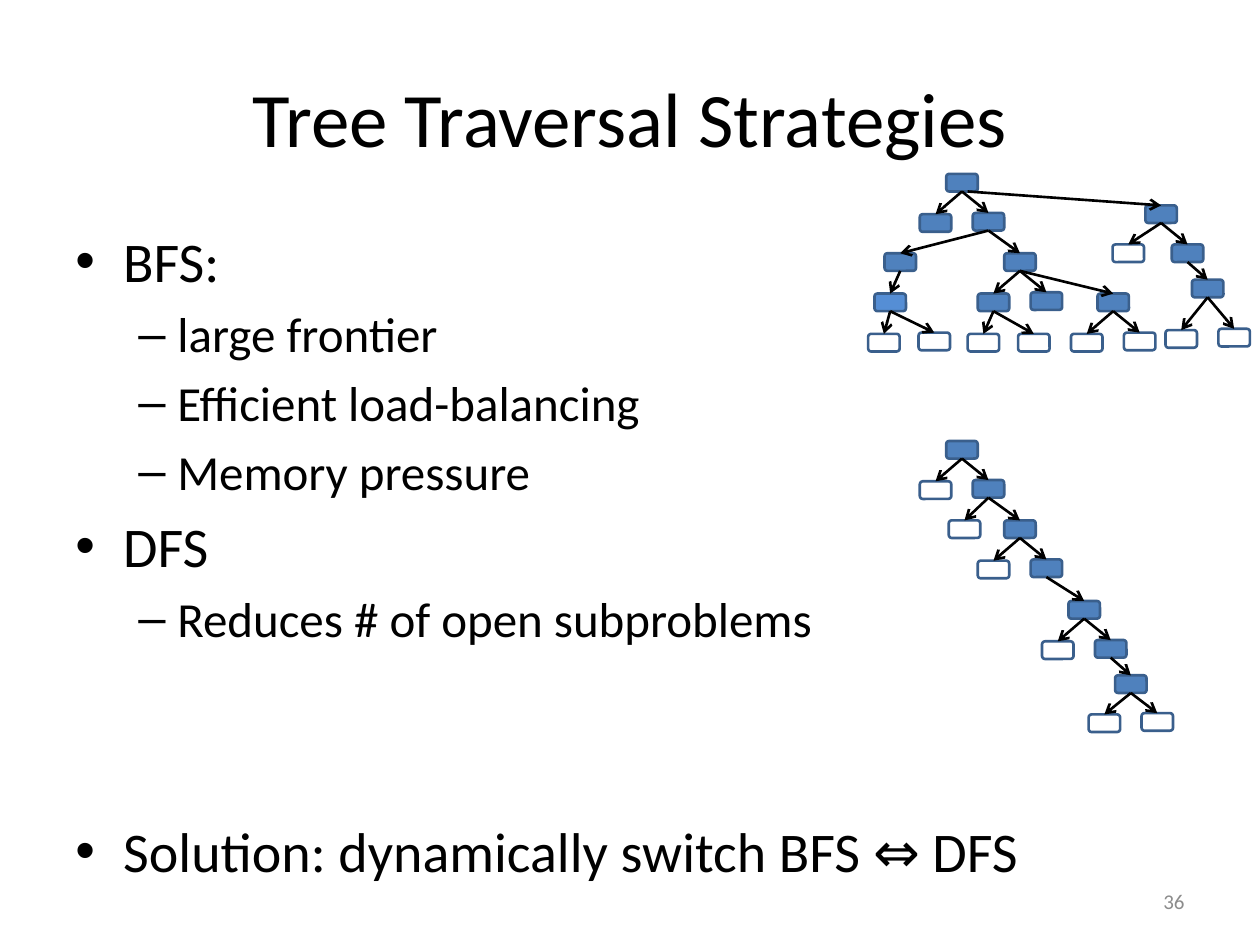
import pptx
import pptx.util
import pptx.dml.color
import pptx.enum.shapes
import pptx.enum.text
import pptx.oxml
import pptx.oxml.ns
import lxml.etree

RGB = pptx.dml.color.RGBColor
ALIGN = pptx.enum.text.PP_ALIGN
MIDDLE = pptx.enum.text.MSO_ANCHOR.MIDDLE
Pt = pptx.util.Pt
qn = pptx.oxml.ns.qn

BLACK = RGB(0x00, 0x00, 0x00)
GRAY = RGB(0x8C, 0x8C, 0x8C)
BLUE = RGB(0x4F, 0x81, 0xBD)
LIGHT = RGB(0x55, 0x8E, 0xD5)
EDGE = RGB(0x3A, 0x5F, 0x8C)
OPEN = None

FONT = "Calibri"
SCALE = 9144
NODE_W, NODE_H = 25, 14
LEVELS = [("•", 32, 38, -38), ("–", 28, 81, -31)]

POINTS = [
    (0, "BFS:", 0),
    (1, "large frontier", 5.6),
    (1, "Efficient load-balancing", 5.6),
    (1, "Memory pressure", 5.6),
    (0, "DFS", 6.4),
    (1, "Reduces # of open subproblems", 5.6),
    (0, "Solution: dynamically switch BFS ⇔ DFS", 97),
]

BREADTH = {
    "root": (751, 138, BLUE, None),
    "a": (730, 170, BLUE, "root"),
    "b": (772, 169, BLUE, "root"),
    "c": (909, 163, BLUE, None),
    "ba": (702, 201, BLUE, "b"),
    "bb": (797, 201, BLUE, "b"),
    "ca": (883, 194, OPEN, "c"),
    "cb": (930, 194, BLUE, "c"),
    "baa": (694, 233, LIGHT, "ba"),
    "bba": (776, 233, BLUE, "bb"),
    "bbb": (818, 232, BLUE, "bb"),
    "bbc": (871, 233, BLUE, "bb"),
    "cba": (946, 222, BLUE, "cb"),
    "leaf1": (689, 265, OPEN, "baa"),
    "leaf2": (729, 264, OPEN, "baa"),
    "leaf3": (768, 265, OPEN, "bba"),
    "leaf4": (808, 265, OPEN, "bba"),
    "leaf5": (850, 265, OPEN, "bbc"),
    "leaf6": (892, 264, OPEN, "bbc"),
    "leaf7": (925, 262, OPEN, "cba"),
    "leaf8": (967, 261, OPEN, "cba"),
}

DEPTH = {
    "root": (751, 350, BLUE, None),
    "a": (730, 382, OPEN, "root"),
    "b": (772, 381, BLUE, "root"),
    "ba": (753, 413, OPEN, "b"),
    "bb": (797, 413, BLUE, "b"),
    "bba": (776, 445, OPEN, "bb"),
    "bbb": (818, 444, BLUE, "bb"),
    "c": (848, 477, BLUE, "bbb"),
    "ca": (827, 509, OPEN, "c"),
    "cb": (869, 508, BLUE, "c"),
    "d": (885, 536, BLUE, "cb"),
    "da": (864, 567, OPEN, "d"),
    "db": (906, 566, OPEN, "d"),
}


def px(*values):
    return [value * SCALE for value in values]


class Deck:
    def __init__(self, wide, high):
        self.file = pptx.Presentation()
        self.file.slide_width, self.file.slide_height = px(wide, high)
        self.slide = self.file.slides.add_slide(self.file.slide_layouts[5])
        self.shapes = self.slide.shapes

    def style(self, para, text, size, color, align):
        para.text = text
        para.alignment = align
        para.font.name = FONT
        para.font.size = Pt(size)
        para.font.color.rgb = color

    def title(self, text, *box):
        head = self.shapes.title
        head.left, head.top, head.width, head.height = px(*box)
        head.text_frame.vertical_anchor = MIDDLE
        self.style(head.text_frame.paragraphs[0], text, 44, BLACK, ALIGN.CENTER)

    def frame(self, *box):
        frame = self.shapes.add_textbox(*px(*box)).text_frame
        frame.word_wrap = True
        return frame

    def list(self, points, *box):
        frame = self.frame(*box)
        for i, (level, text, gap) in enumerate(points):
            para = frame.add_paragraph() if i else frame.paragraphs[0]
            mark, size, left, hang = LEVELS[level]
            self.style(para, text, size, BLACK, ALIGN.LEFT)
            para.level = level
            para.space_before = Pt(gap)
            props = para._p.get_or_add_pPr()
            props.set("marL", str(left * SCALE))
            props.set("indent", str(hang * SCALE))
            font = lxml.etree.SubElement(props, qn("a:buFont"))
            font.set("typeface", "Arial")
            lxml.etree.SubElement(props, qn("a:buChar")).set("char", mark)

    def number(self, text, *box):
        frame = self.frame(*box)
        frame.vertical_anchor = MIDDLE
        self.style(frame.paragraphs[0], text, 12, GRAY, ALIGN.RIGHT)

    def node(self, x, y, fill):
        kind = pptx.enum.shapes.MSO_SHAPE.ROUNDED_RECTANGLE
        node = self.shapes.add_shape(kind, *px(x, y, NODE_W, NODE_H))
        node.shadow.inherit = False
        if fill is OPEN:
            node.fill.background()
        else:
            node.fill.solid()
            node.fill.fore_color.rgb = fill
        node.line.color.rgb = EDGE
        node.line.width = Pt(1.5)
        return node

    def arrow(self, child, parent=None, start=(0, 0)):
        kind = pptx.enum.shapes.MSO_CONNECTOR.STRAIGHT
        arrow = self.shapes.add_connector(kind, *px(*start, *start))
        if parent is not None:
            arrow.begin_connect(parent, 2)
        arrow.end_connect(child, 0)
        arrow.line.color.rgb = BLACK
        arrow.line.width = Pt(1.5)
        tail = lxml.etree.SubElement(arrow.line._get_or_add_ln(), qn("a:tailEnd"))
        tail.set("type", "arrow")
        lxml.etree.SubElement(arrow._element.spPr, qn("a:effectLst"))

    def tree(self, plan):
        nodes = {name: self.node(x, y, fill) for name, (x, y, fill, _) in plan.items()}
        for name, (_, _, _, parent) in plan.items():
            if parent:
                self.arrow(nodes[name], nodes[parent])
        return nodes


def main():
    deck = Deck(1000, 750)
    deck.title("Tree Traversal Strategies", 50, 30, 900, 125)
    deck.list(POINTS, 50, 175, 900, 542)
    deck.number("36", 717, 695, 233, 40)
    deck.tree(DEPTH)
    nodes = deck.tree(BREADTH)
    deck.arrow(nodes["c"], start=(768, 152))
    deck.file.save("out.pptx")


if __name__ == "__main__":
    main()
